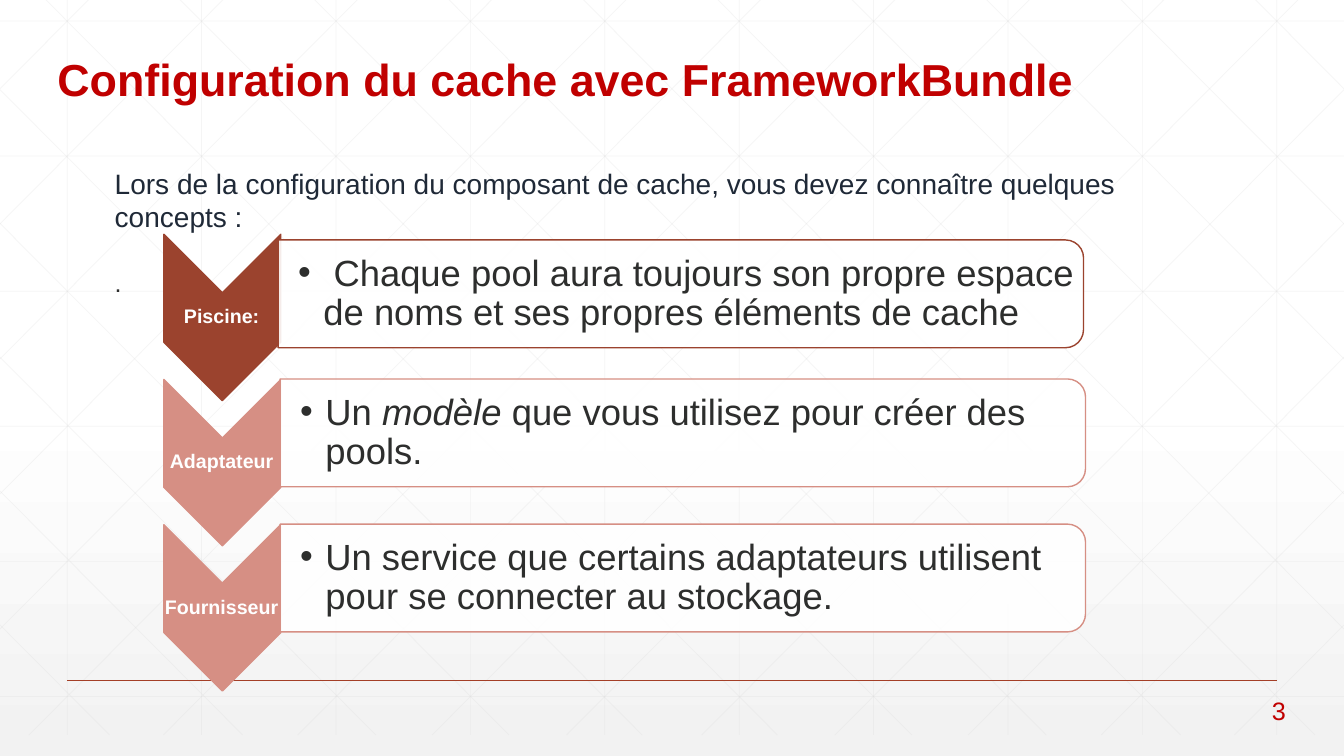
from copy import deepcopy

from lxml.etree import SubElement
from pptx import Presentation
from pptx.dml.color import RGBColor
from pptx.enum.shapes import MSO_CONNECTOR, MSO_SHAPE
from pptx.enum.text import MSO_ANCHOR, PP_ALIGN
from pptx.oxml.ns import qn
from pptx.util import Pt

color = RGBColor.from_string


def write(paragraph, text, size, hex_color, bold=False, italic=False):
    run = paragraph.add_run()
    run.text = text
    values = {"name": "Arial", "size": Pt(size), "bold": bold, "italic": italic}
    for name, value in values.items():
        setattr(run.font, name, value)
    run.font.color.rgb = color(hex_color)


def add_text_box(left, top, width, height, **frame_format):
    frame = slide.shapes.add_textbox(Pt(left), Pt(top), Pt(width), Pt(height)).text_frame
    for name, value in {"word_wrap": True, **frame_format}.items():
        setattr(frame, name, value)
    return frame


presentation = Presentation()
presentation.slide_width = Pt(960)
presentation.slide_height = Pt(540)
slide = presentation.slides.add_slide(presentation.slide_layouts[5])

background = slide.background.fill
background.gradient()
background.gradient_angle = 270
first_stop = background.gradient_stops[0]._gs if hasattr(background.gradient_stops[0], "_gs") else None
stop_list = slide.background._cSld.find(".//" + qn("a:gsLst"))
for stop in list(stop_list):
    stop_list.remove(stop)
for position, hex_color in [(0, "FFFFFF"), (53, "FFFFFF"), (100, "F2F2F2")]:
    stop = SubElement(stop_list, qn("a:gs"), pos=str(position * 1000))
    SubElement(stop, qn("a:srgbClr"), val=hex_color)

grid_top, grid_bottom, slope = -15, 525, 1.005
lines = [(48 + 96 * i, grid_top, 48 + 96 * i, grid_bottom) for i in range(10)]
lines += [(0, 15 + 96.5 * i, 960, 15 + 96.5 * i) for i in range(6)]
diagonals = []
for i in range(10):
    start = 18 + 96 * i
    run_length = min((grid_bottom - grid_top) / slope, 960 - start)
    diagonals.append((start, grid_top, start + run_length, grid_top + run_length * slope))
for i in range(5):
    start = 64 + 95.6 * i
    diagonals.append((0, start, (grid_bottom - start) / slope, grid_bottom))
lines += diagonals
lines += [(960 - x1, y1, 960 - x2, y2) for x1, y1, x2, y2 in diagonals]

styled_lines = [(line, "D9D9D9", 0.5, 25) for line in lines]
styled_lines.append(((48, 486, 912, 486), "A43F27", 1, 100))
for points, hex_color, width, opacity in styled_lines:
    connector = slide.shapes.add_connector(MSO_CONNECTOR.STRAIGHT, *[Pt(value) for value in points])
    connector.line.color.rgb = color(hex_color)
    connector.line.width = Pt(width)
    line_color = connector._element.spPr.find(".//" + qn("a:srgbClr"))
    SubElement(line_color, qn("a:alpha"), val=str(opacity * 1000))
    SubElement(connector._element.spPr, qn("a:effectLst"))

title = slide.shapes.title
slide.shapes._spTree.append(title._element)
for name, value in {"left": 33.8, "top": 25.2, "width": 756, "height": 54}.items():
    setattr(title, name, Pt(value))
title.text_frame.vertical_anchor = MSO_ANCHOR.BOTTOM
title.text_frame.word_wrap = True
title_paragraph = title.text_frame.paragraphs[0]
title_paragraph.alignment = PP_ALIGN.LEFT
title_paragraph.line_spacing = 0.9
write(title_paragraph, "Configuration du cache avec FrameworkBundle", 32, "C00000", bold=True)

introduction = add_text_box(74.9, 115.2, 772.6, 104.4)
write(
    introduction.paragraphs[0],
    "Lors de la configuration du composant de cache, vous devez connaître quelques concepts :",
    20,
    "1F2937",
)
closing = introduction.add_paragraph()
closing.space_before = Pt(24)
write(closing, ".", 18, "2D2E2D")

concepts = [
    ("Piscine:", "9B432E", 486.3, 209.9,
     [(" Chaque pool aura toujours son propre espace de noms et ses propres éléments de cache", False)]),
    ("Adaptateur", "D68F84", 487.7, 309.2,
     [("Un ", False), ("modèle", True), (" que vous utilisez pour créer des pools.", False)]),
    ("Fournisseur", "D68F84", 487.7, 412.9,
     [("Un service que certains adaptateurs utilisent pour se connecter au stockage.", False)]),
]
panel_width, panel_height = 575.3, 77
for index, (label, hex_color, center_x, center_y, description) in enumerate(concepts):
    offset = 103.7 * index
    chevron = slide.shapes.add_shape(
        MSO_SHAPE.CHEVRON, Pt(99.4), Pt(185 + offset), Pt(118.8), Pt(83.5))
    panel = slide.shapes.add_shape(
        MSO_SHAPE.ROUND_2_SAME_RECTANGLE,
        Pt(center_x - panel_height / 2), Pt(center_y - panel_width / 2),
        Pt(panel_height), Pt(panel_width))
    for shape, fill_color in [(chevron, hex_color), (panel, "FFFFFF")]:
        shape.rotation = 90
        shape.shadow.inherit = False
        shape.fill.solid()
        shape.fill.fore_color.rgb = color(fill_color)
        shape.line.color.rgb = color(hex_color)
        shape.line.width = Pt(1)
    panel_color = panel._element.spPr.find(qn("a:solidFill")).find(qn("a:srgbClr"))
    SubElement(panel_color, qn("a:alpha"), val="90000")

    label_frame = add_text_box(
        116.6, 208.8 + offset, 83.5, 36, vertical_anchor=MSO_ANCHOR.MIDDLE,
        margin_left=Pt(0.7), margin_right=Pt(0.7), margin_top=Pt(0.7), margin_bottom=Pt(0.7))
    label_paragraph = label_frame.paragraphs[0]
    label_paragraph.alignment = PP_ALIGN.CENTER
    label_paragraph.line_spacing = 0.9
    write(label_paragraph, label, 14, "FFFFFF", bold=True)

    panel_frame = add_text_box(
        center_x - panel_width / 2, center_y - 35, 571.7, 70, vertical_anchor=MSO_ANCHOR.MIDDLE,
        margin_left=Pt(14.4), margin_right=Pt(1.4), margin_top=Pt(1.4), margin_bottom=Pt(1.4))
    paragraph = panel_frame.paragraphs[0]
    paragraph.line_spacing = 0.9
    properties = paragraph._p.get_or_add_pPr()
    properties.set("marL", str(Pt(18)))
    properties.set("indent", str(Pt(-18)))
    SubElement(properties, qn("a:buFont"), typeface="Arial")
    SubElement(properties, qn("a:buChar"), char="•")
    for text, italic in description:
        write(paragraph, text, 26, "2D2E2D", italic=italic)

page_number = add_text_box(901.4, 493.2, 24.5, 28.8, word_wrap=False)
write(page_number.paragraphs[0], "3", 18, "C00000")

presentation.save("out.pptx")
